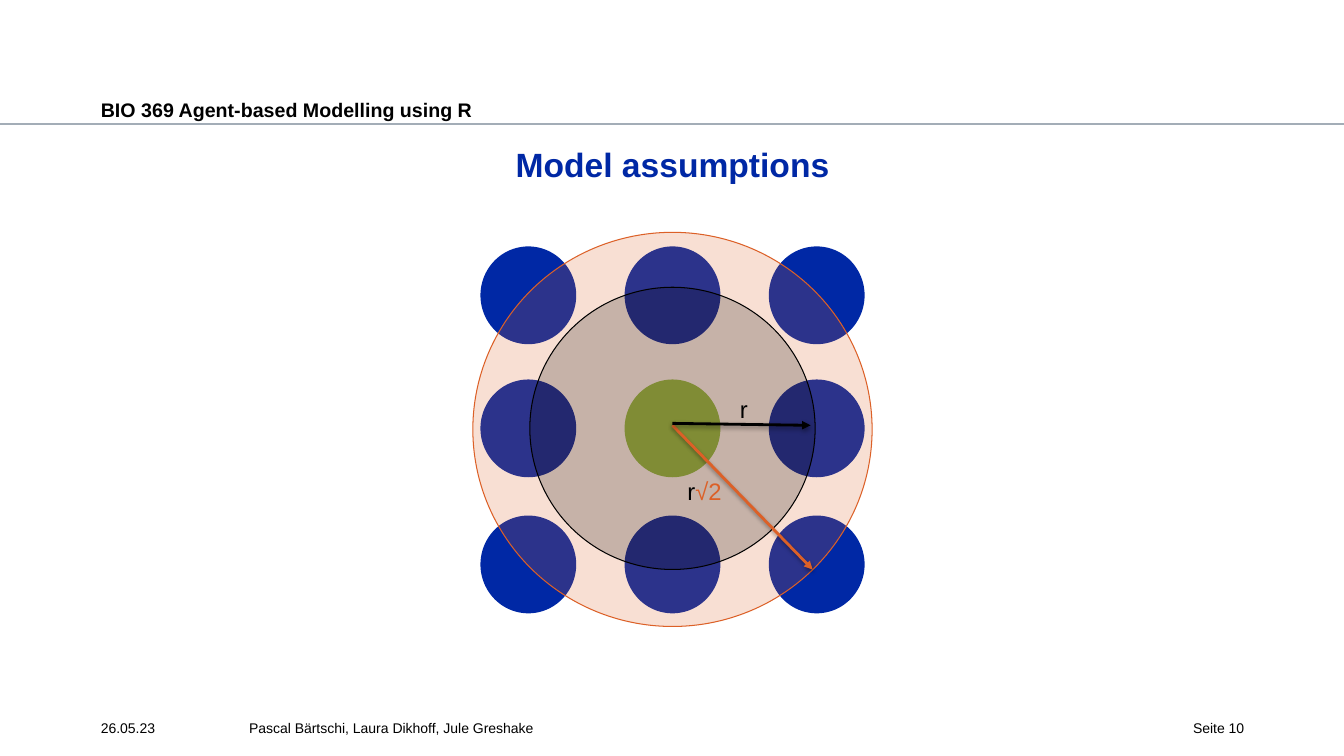
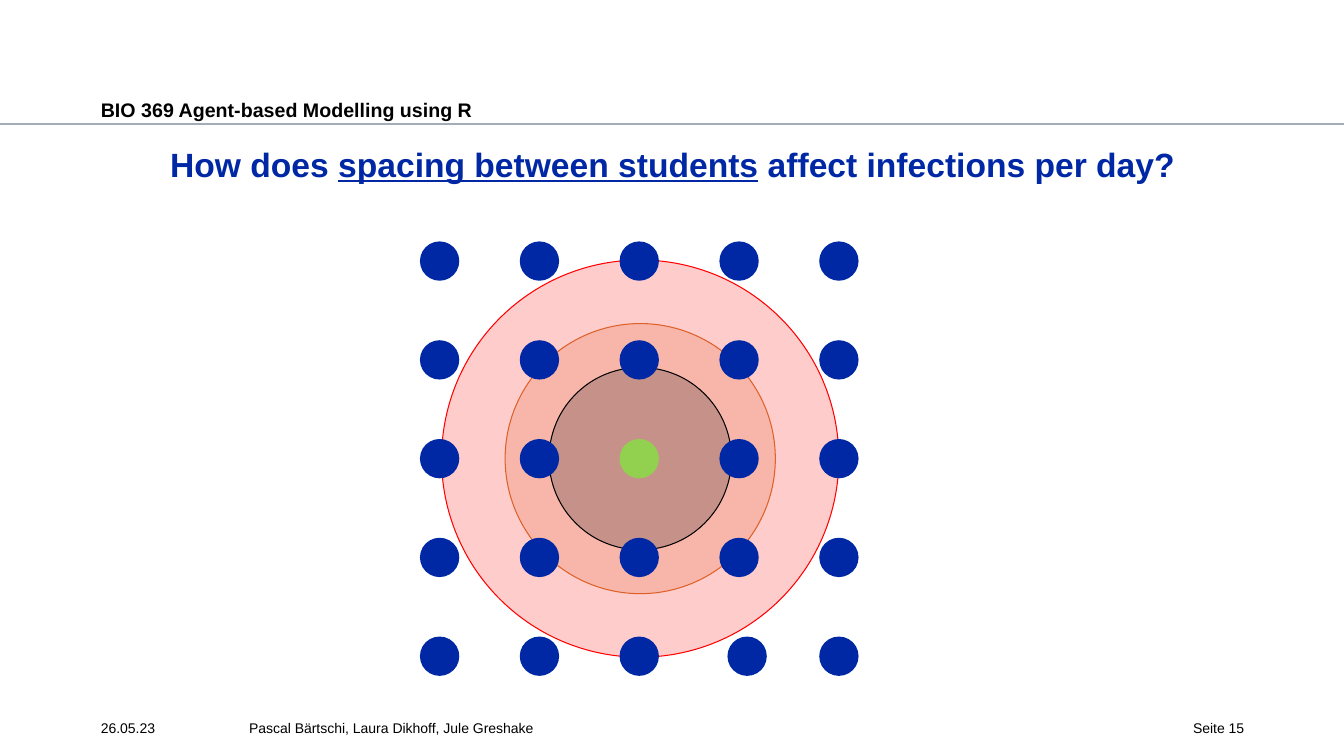
from lxml import etree
from pptx import Presentation
from pptx.dml.color import RGBColor
from pptx.enum.shapes import MSO_CONNECTOR, MSO_SHAPE
from pptx.enum.text import PP_ALIGN
from pptx.oxml.ns import qn
from pptx.util import Inches, Pt

STRAIGHT = MSO_CONNECTOR.STRAIGHT
NODE, OVAL = MSO_SHAPE.FLOWCHART_CONNECTOR, MSO_SHAPE.OVAL
LEFT, CENTER, RIGHT = PP_ALIGN.LEFT, PP_ALIGN.CENTER, PP_ALIGN.RIGHT

BLACK = RGBColor(0x00, 0x00, 0x00)
BLUE = RGBColor(0x00, 0x28, 0xA5)
ORANGE = RGBColor(0xDC, 0x60, 0x27)
RED = RGBColor(0xFF, 0x00, 0x00)
OLIVE_GREEN = RGBColor(0x91, 0xC3, 0x4A)
LIGHT_GREEN = RGBColor(0x92, 0xD0, 0x50)
RULE_GREY = RGBColor(0xA3, 0xAD, 0xB7)

COURSE_FONT = {"name": "Arial", "size": Pt(14), "bold": True}
TITLE_FONT = {"name": "Arial", "size": Pt(24), "bold": True}
FOOTER_FONT = {"name": "Arial", "size": Pt(10)}
LABEL_FONT = {"name": "Arial", "size": Pt(17)}

SLIDE_WIDTH, SLIDE_HEIGHT = 13.33, 7.5
MARGIN, CONTENT_WIDTH = 1, 11.34
NO_INSET = (0, 0, 0, 0)
HEADING_INSET = (0, 0.04, 0, 0)
LABEL_INSET = (0.1, 0.05, 0.1, 0.05)


def add_text(slide, box, pieces, font, inset=NO_INSET, align=LEFT):
    """Place one paragraph of (text, colour, extra format) pieces in a box."""
    frame = slide.shapes.add_textbox(*map(Inches, box)).text_frame
    frame.word_wrap = True
    for side, length in zip(("left", "top", "right", "bottom"), inset):
        setattr(frame, f"margin_{side}", Inches(length))
    paragraph = frame.paragraphs[0]
    paragraph.alignment = align
    for text, colour, extra in pieces:
        run = paragraph.add_run()
        run.text = text
        run.font.color.rgb = colour
        for attribute, value in {**font, **extra}.items():
            setattr(run.font, attribute, value)


def add_disc(slide, outline, center, width, height, colour):
    """Add a solid round shape around a center point."""
    x, y = center
    box = (x - width / 2, y - height / 2, width, height)
    disc = slide.shapes.add_shape(outline, *map(Inches, box))
    disc.shadow.inherit = False
    disc.fill.solid()
    disc.fill.fore_color.rgb = colour
    disc.line.fill.background()
    return disc


def add_ring(slide, outline, center, width, height, colour):
    """Add an outlined disc with a 20 % tint, marking an infection radius."""
    ring = add_disc(slide, outline, center, width, height, colour)
    tint = ring._element.spPr.find(qn("a:solidFill"))[0]
    etree.SubElement(tint, qn("a:alpha"), val="20000")
    ring.line.color.rgb = colour
    ring.line.width = Pt(0.75)


def add_line(slide, start, end, colour, width):
    """Draw a straight line without shadow and return it."""
    line = slide.shapes.add_connector(STRAIGHT, *map(Inches, (*start, *end)))
    line.line.color.rgb = colour
    line.line.width = Pt(width)
    etree.SubElement(line._element.spPr, qn("a:effectLst"))
    return line


def add_radius_arrow(slide, start, end, colour):
    """Draw a radius arrow with a soft shadow beneath it."""
    properties = add_line(slide, start, end, colour, 2)._element.spPr
    etree.SubElement(properties.find(qn("a:ln")), qn("a:tailEnd"), type="triangle")
    shadow = etree.SubElement(
        properties.find(qn("a:effectLst")), qn("a:outerShdw"),
        blurRad="40000", dist="20000", dir="5400000", rotWithShape="0")
    shade = etree.SubElement(shadow, qn("a:srgbClr"), val=str(BLACK))
    etree.SubElement(shade, qn("a:alpha"), val="38000")


def add_frame(slide, title, page):
    """Add the course heading, rule, title and footer."""
    add_line(slide, (0, 1.23), (SLIDE_WIDTH, 1.23), RULE_GREY, 1.25)
    add_text(slide, (MARGIN, 0.93, 8.02, 0.25),
             [("BIO 369 Agent-based Modelling using R", BLACK, {})],
             COURSE_FONT, HEADING_INSET)
    add_text(slide, (MARGIN, 1.39, CONTENT_WIDTH, 0.87),
             [(text, BLUE, extra) for text, extra in title],
             TITLE_FONT, HEADING_INSET, CENTER)
    footers = (
        (MARGIN, 1.36, "26.05.23", LEFT),
        (2.47, 7.66, "Pascal Bärtschi, Laura Dikhoff, Jule Greshake", LEFT),
        (11.43, 0.91, f"Seite {page}", RIGHT),
    )
    for left, width, text, align in footers:
        add_text(slide, (left, 7.14, width, 0.24), [(text, BLACK, {})],
                 FOOTER_FONT, align=align)


def add_radius_diagram(slide, x, y):
    """Draw the 3 by 3 neighbourhood with both radii around a center."""
    for row_offset in (-1.32, 0, 1.35):
        for column_offset in (-1.43, 0, 1.43):
            infected = row_offset == column_offset == 0
            add_disc(slide, NODE, (x + column_offset, y + row_offset), 0.95, 0.97,
                     OLIVE_GREEN if infected else BLUE)
    add_ring(slide, NODE, (x, y + 0.01), 3.96, 3.91, ORANGE)
    add_ring(slide, NODE, (x, y), 2.83, 2.8, BLACK)
    add_radius_arrow(slide, (x, y - 0.03), (x + 1.39, y + 1.4), ORANGE)
    add_radius_arrow(slide, (x, y - 0.05), (x + 1.37, y - 0.03), BLACK)
    add_text(slide, (x + 0.57, y - 0.38, 0.37, 0.39), [("r", BLACK, {})],
             LABEL_FONT, LABEL_INSET)
    add_text(slide, (x + 0.05, y + 0.43, 0.66, 0.39),
             [("r", BLACK, {}), ("√2", ORANGE, {})], LABEL_FONT, LABEL_INSET)


def add_spacing_diagram(slide, x, y):
    """Draw the 5 by 5 seating grid over three radii around a center."""
    for diameter, colour in ((3.94, RED), (2.68, ORANGE), (1.81, BLACK)):
        add_ring(slide, OVAL, (x + 0.01, y), diameter, diameter, colour)
    shifted_seats = {(1, 2): 0.08}
    for column in range(-2, 3):
        for row in range(-2, 3):
            shift = shifted_seats.get((column, row), 0)
            seat = (x + column * 0.99 + shift, y + row * 0.98)
            infected = column == row == 0
            add_disc(slide, OVAL, seat, 0.39, 0.39, LIGHT_GREEN if infected else BLUE)


def main():
    """Build and save the presentation."""
    deck = Presentation()
    deck.slide_width, deck.slide_height = Inches(SLIDE_WIDTH), Inches(SLIDE_HEIGHT)
    blank = deck.slide_layouts[6]

    assumptions = deck.slides.add_slide(blank)
    add_frame(assumptions, [("Model assumptions", {})], 10)
    add_radius_diagram(assumptions, 6.67, 4.25)

    spacing = deck.slides.add_slide(blank)
    add_frame(spacing, [("How does ", {}),
                        ("spacing between students", {"underline": True}),
                        (" affect infections per day?", {})], 15)
    add_spacing_diagram(spacing, 6.34, 4.55)

    deck.save("out.pptx")


if __name__ == "__main__":
    main()
